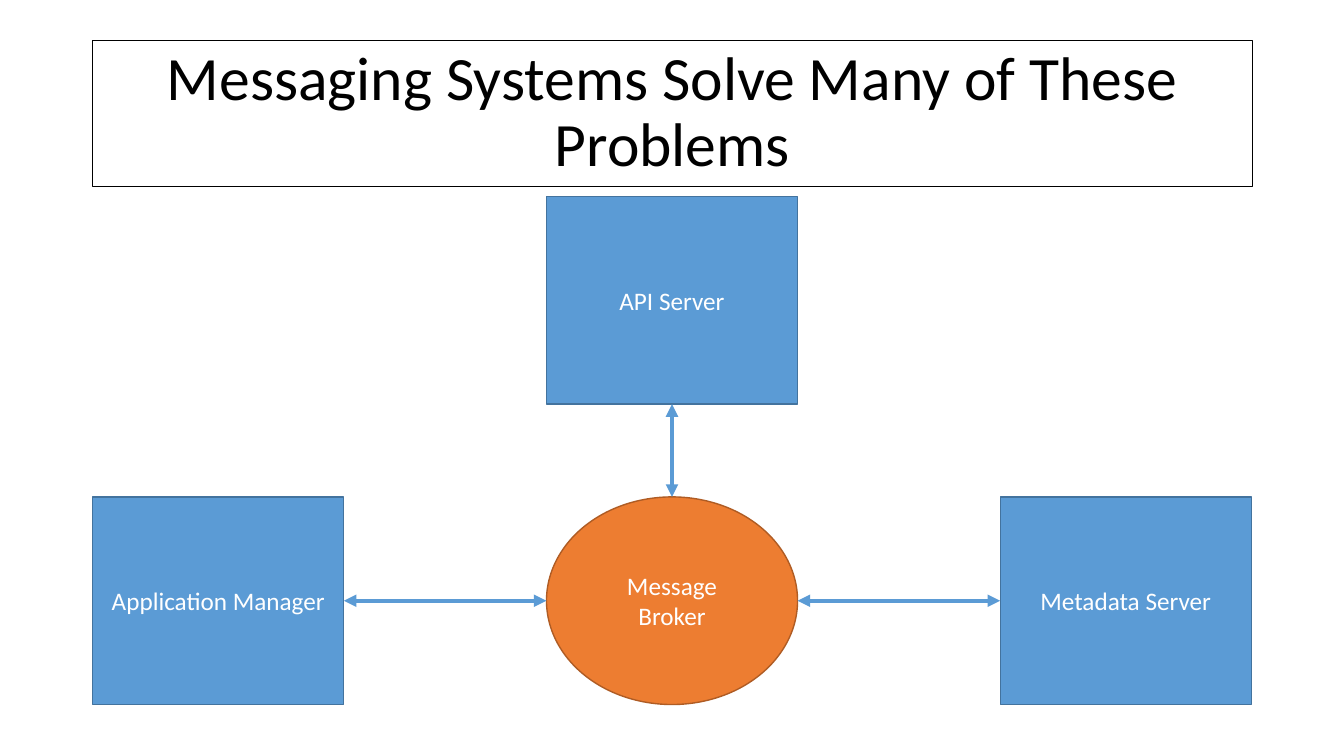
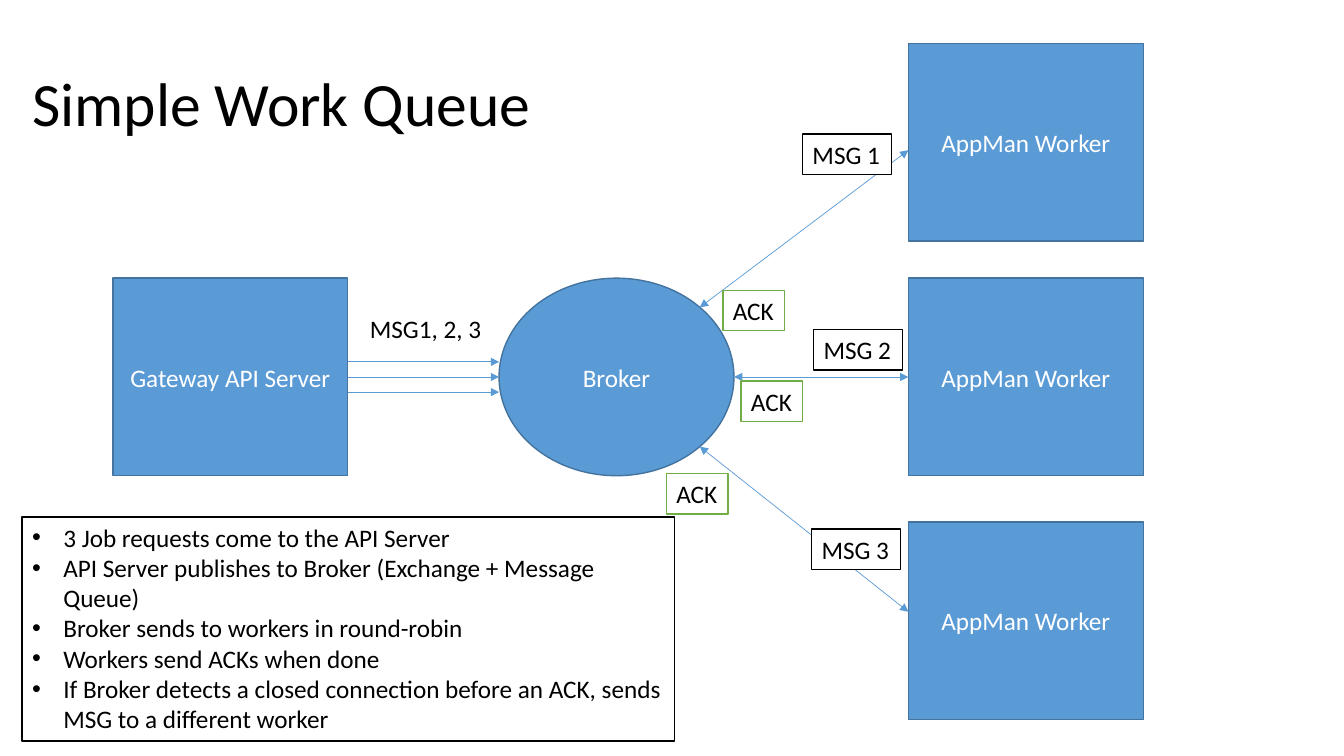
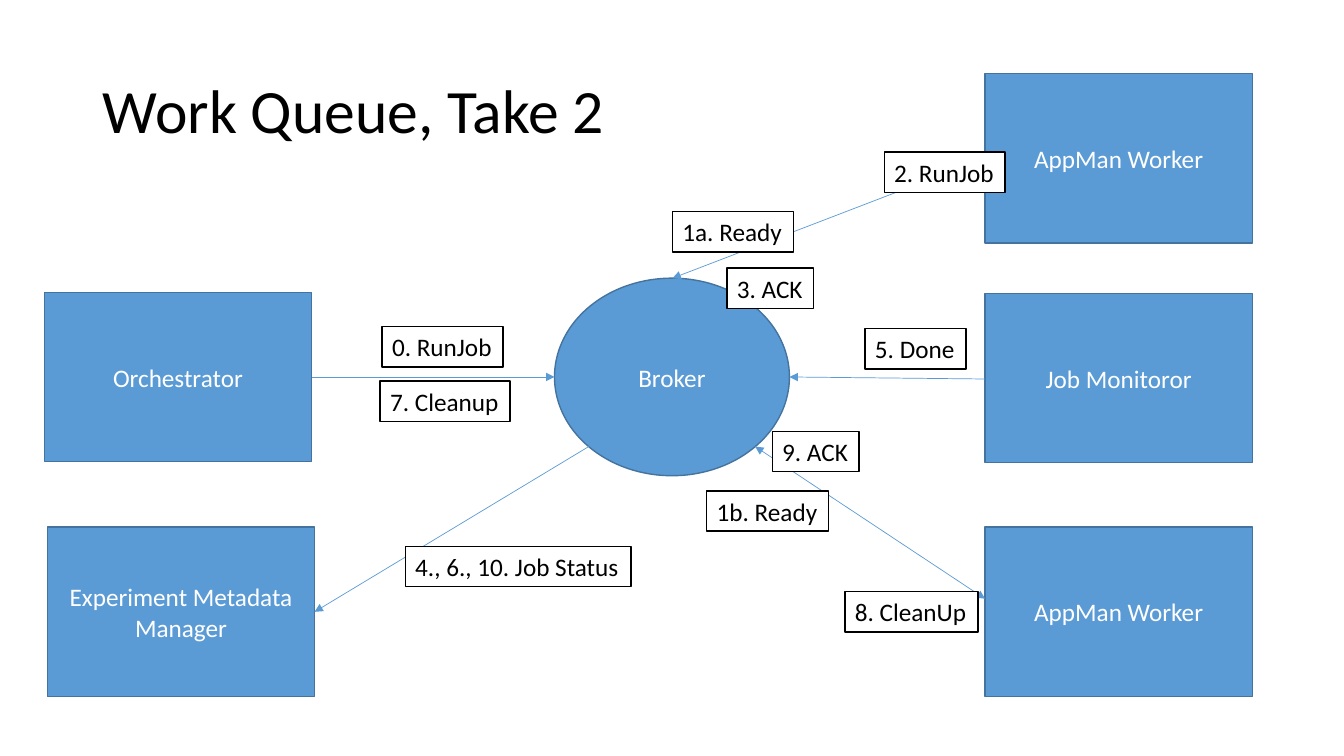
"""Builds three slides on message brokers and work queues."""
from lxml.etree import SubElement
from pptx import Presentation
from pptx.dml.color import RGBColor
from pptx.enum.shapes import MSO_CONNECTOR as Connector, MSO_SHAPE as Shape
from pptx.enum.text import MSO_ANCHOR as Anchor, MSO_AUTO_SIZE as AutoSize, PP_ALIGN as Align
from pptx.oxml.ns import qn
from pptx.util import Inches, Pt

BLUE = RGBColor(0x5B, 0x9B, 0xD5)
DARK_BLUE = RGBColor(0x43, 0x73, 0x9E)
ORANGE = RGBColor(0xED, 0x7D, 0x31)
DARK_ORANGE = RGBColor(0xAF, 0x5C, 0x24)
GREEN = RGBColor(0x70, 0xAD, 0x47)
WHITE = RGBColor(0xFF, 0xFF, 0xFF)
BLACK = RGBColor(0, 0, 0)
FONT = "Calibri"


def write(frame, *lines, size=18, color=BLACK, align=Align.LEFT, anchor=Anchor.TOP,
          spacing=None, bullet=None):
    frame.vertical_anchor = anchor
    for index, line in enumerate(lines):
        para = frame.add_paragraph() if index else frame.paragraphs[0]
        para.alignment = align
        if spacing:
            para.line_spacing = spacing
        if bullet:
            props = para._p.get_or_add_pPr()
            props.set("marL", str(Inches(0.31)))
            props.set("indent", str(Inches(-0.31)))
            SubElement(props, qn("a:buFont"), typeface="Arial")
            SubElement(props, qn("a:buChar"), char=bullet)
        span = para.add_run()
        span.text = line
        span.font.name = FONT
        span.font.size = Pt(size)
        span.font.color.rgb = color


def paint(shape, fill, line):
    shape.fill.solid()
    shape.fill.fore_color.rgb = fill
    shape.line.color.rgb = line
    shape.line.width = Pt(1)


class Slides:
    def __init__(self):
        self.deck = Presentation()
        self.deck.slide_width = Inches(13.33)
        self.deck.slide_height = Inches(7.5)
        self.page = None

    def start(self, title, left=0.92, top=0.4, align=Align.LEFT, framed=False):
        self.page = self.deck.slides.add_slide(self.deck.slide_layouts[5])
        box = self.page.shapes.title
        box.left, box.top = Inches(left), Inches(top)
        box.width, box.height = Inches(11.5), Inches(1.45)
        box.text_frame.auto_size = AutoSize.NONE
        write(box.text_frame, title, size=44, align=align, anchor=Anchor.MIDDLE, spacing=0.9)
        if framed:
            paint(box, WHITE, BLACK)

    def node(self, text, left, top, size, kind=Shape.RECTANGLE, fill=BLUE, line=DARK_BLUE):
        width, height = size
        node = self.page.shapes.add_shape(
            kind, Inches(left), Inches(top), Inches(width), Inches(height))
        node.shadow.inherit = False
        paint(node, fill, line)
        node.text_frame.word_wrap = True
        write(node.text_frame, text, color=WHITE, align=Align.CENTER, anchor=Anchor.MIDDLE)

    def label(self, *lines, left, top, width, height=0.4, line=BLACK, bullet=None):
        box = self.page.shapes.add_textbox(
            Inches(left), Inches(top), Inches(width), Inches(height))
        if line is not None:
            paint(box, WHITE, line)
        box.text_frame.word_wrap = bullet is not None
        box.text_frame.auto_size = AutoSize.SHAPE_TO_FIT_TEXT
        write(box.text_frame, *lines, bullet=bullet)

    def arrow(self, start, end, width=0.5, both=False):
        arrow = self.page.shapes.add_connector(
            Connector.STRAIGHT, *(Inches(value) for value in (*start, *end)))
        arrow.line.color.rgb = BLUE
        arrow.line.width = Pt(width)
        outline = arrow.line._get_or_add_ln()
        for tip in ("a:headEnd", "a:tailEnd") if both else ("a:tailEnd",):
            SubElement(outline, qn(tip), type="triangle")
        SubElement(arrow._element.spPr, qn("a:effectLst"))


def messaging_systems(slides):
    slides.start("Messaging Systems Solve Many of These Problems", align=Align.CENTER, framed=True)
    size = width, height = 2.49, 2.06
    left, center, right = (0.92 + 4.5 * column for column in range(3))
    upper, lower = 1.95, 4.93
    slides.node("API Server", center, upper, size)
    slides.node("Application Manager", left, lower, size)
    slides.node("Metadata Server", right, lower, size)
    slides.node("Message Broker", center, lower, size, Shape.OVAL, ORANGE, DARK_ORANGE)
    middle, axis = lower + height / 2, center + width / 2
    slides.arrow((axis, upper + height), (axis, lower), width=3, both=True)
    for start in (center, right):
        slides.arrow((start, middle), (start - 4.5 + width, middle), width=3, both=True)


def simple_work_queue(slides):
    slides.start("Simple Work Queue", left=0.22, top=0.33)
    size = 2.33, 1.96
    slides.node("Gateway API Server", 1.12, 2.76, size)
    for top in (0.43, 2.76, 5.18):
        slides.node("AppMan Worker", 9.01, top, size)
    slides.node("Broker", 4.95, 2.76, size, Shape.OVAL)
    for offset in (-0.15, 0, 0.15):
        slides.arrow((3.45, 3.74 + offset), (4.95, 3.74 + offset))
    for start, end in (((6.94, 3.05), 1.49), ((7.28, 3.74), 3.74), ((6.94, 4.43), 6.07)):
        slides.arrow(start, (9.01, end), both=True)
    slides.label("MSG1, 2, 3", left=3.57, top=3.06, width=1.32, line=None)
    for text, left, top in (("MSG 1", 7.96, 1.33), ("MSG 2", 8.07, 3.27), ("MSG 3", 8.05, 5.25)):
        slides.label(text, left=left, top=top, width=0.88)
    for left, top in ((7.17, 2.88), (7.35, 3.78), (6.61, 4.7)):
        slides.label("ACK", left=left, top=top, width=0.61, line=GREEN)
    slides.label(
        "3 Job requests come to the API Server",
        "API Server publishes to Broker (Exchange + Message Queue)",
        "Broker sends to workers in round-robin",
        "Workers send ACKs when done",
        "If Broker detects a closed connection before an ACK, sends MSG to a different worker",
        left=0.22, top=5.13, width=6.47, height=2.22, bullet="•")


def work_queue_take_two(slides):
    slides.start("Work Queue, Take 2")
    for text, left, top in (
            ("Orchestrator", 0.44, 2.9),
            ("Experiment Metadata Manager", 0.47, 5.23),
            ("AppMan Worker", 9.77, 0.73),
            ("Job Monitoror", 9.77, 2.91),
            ("AppMan Worker", 9.77, 5.23)):
        slides.node(text, left, top, (2.65, 1.68))
    slides.node("Broker", 5.5, 2.76, (2.33, 1.96), Shape.OVAL)
    slides.arrow((3.09, 3.74), (5.5, 3.74))
    slides.arrow((5.84, 4.43), (3.12, 6.07))
    slides.arrow((9.77, 1.57), (6.67, 2.76))
    slides.arrow((9.77, 3.76), (7.83, 3.74))
    slides.arrow((7.49, 4.43), (9.77, 5.94), both=True)
    for text, left, top, width in (
            ("0. RunJob", 3.79, 3.24, 1.2),
            ("1a. Ready", 6.67, 2.1, 1.2),
            ("1b. Ready", 7.01, 4.87, 1.21),
            ("2. RunJob", 8.77, 1.51, 1.2),
            ("3. ACK", 7.21, 2.66, 0.86),
            ("4., 6., 10. Job Status", 4.02, 5.42, 2.24),
            ("5. Done", 8.58, 3.26, 1),
            ("7. Cleanup", 3.77, 3.78, 1.29),
            ("8. CleanUp", 8.38, 5.87, 1.32),
            ("9. ACK", 7.66, 4.28, 0.86)):
        slides.label(text, left=left, top=top, width=width)


slides = Slides()
messaging_systems(slides)
simple_work_queue(slides)
work_queue_take_two(slides)
slides.deck.save("out.pptx")
